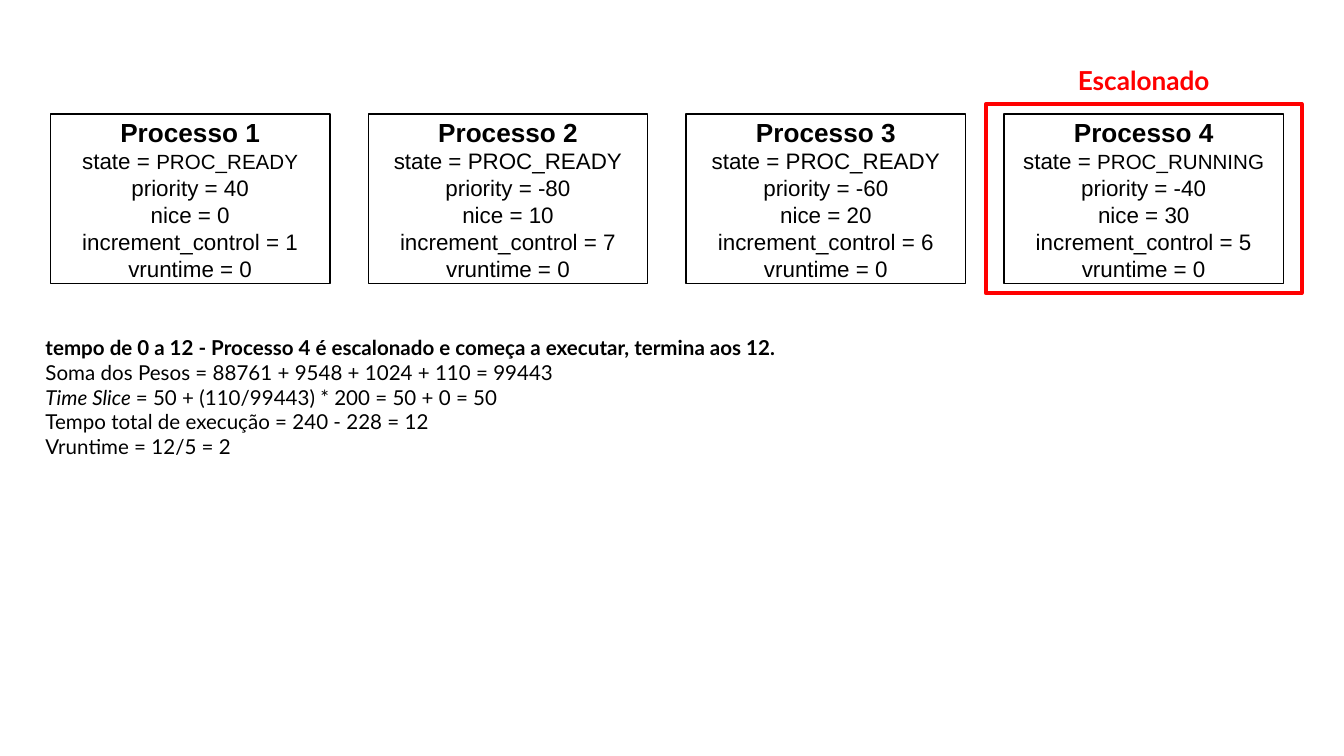
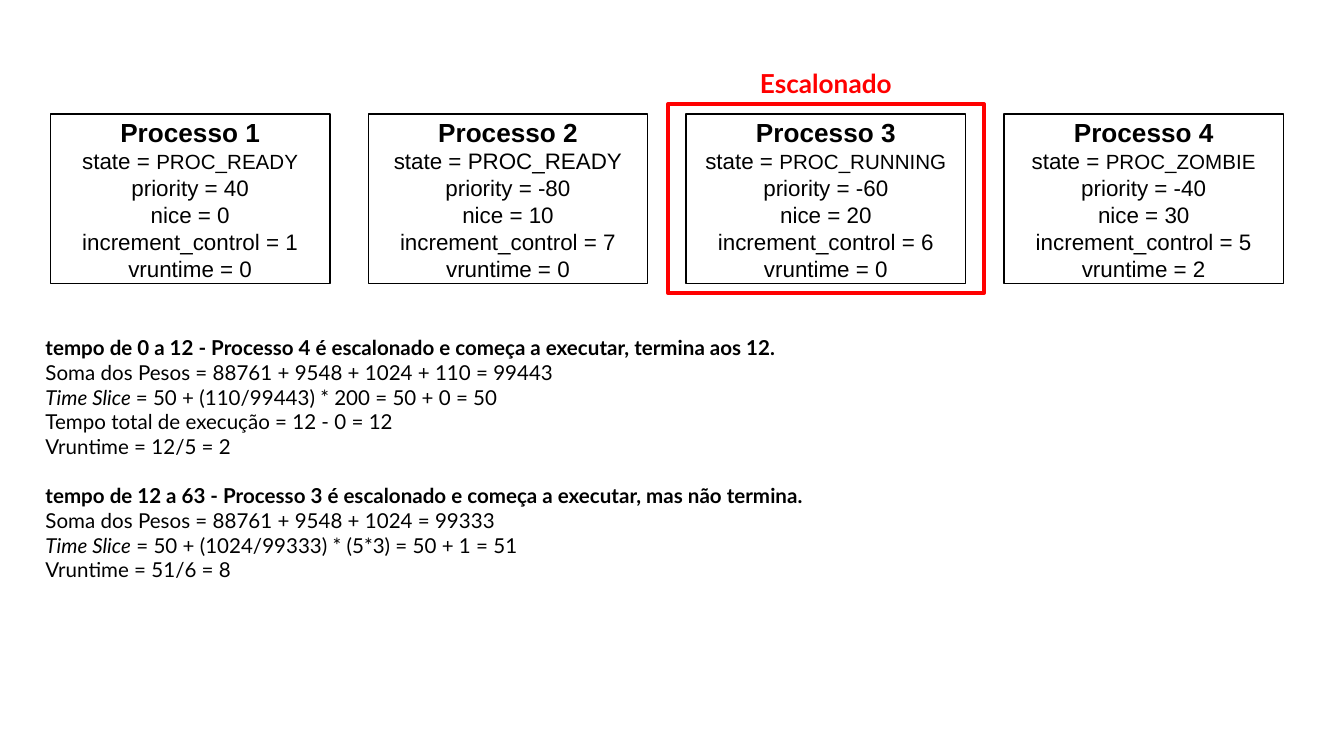
from pptx import Presentation
from pptx.dml.color import RGBColor
from pptx.enum.shapes import MSO_SHAPE
from pptx.enum.text import MSO_ANCHOR, PP_ALIGN
from pptx.util import Pt

RECT = MSO_SHAPE.RECTANGLE
TOP, MIDDLE = MSO_ANCHOR.TOP, MSO_ANCHOR.MIDDLE
LEFT, CENTER = PP_ALIGN.LEFT, PP_ALIGN.CENTER

BLACK = RGBColor(0x00, 0x00, 0x00)
WHITE = RGBColor(0xFF, 0xFF, 0xFF)
RED = RGBColor(0xFF, 0x00, 0x00)
SANS, LATO = "Arial", "Lato"
SCALE = 4572  # EMU in one px, 200 px to the inch

# Content: fixed values of each process
TASKS = [
    ("Processo 1", 40, 0, 1),
    ("Processo 2", -80, 10, 7),
    ("Processo 3", -60, 20, 6),
    ("Processo 4", -40, 30, 5),
]

# Content: state with its text size and vruntime per process, notes in blocks;
# a line is (italic part, plain part) and the first one of a block is bold
HEAD = ("", "tempo de 0 a 12 - Processo 4 é escalonado e começa a executar, termina aos 12.")
SUM = ("", "Soma dos Pesos = 88761 + 9548 + 1024 + 110 = 99443")
SLICE = ("Time Slice ", "= 50 + (110/99443) * 200 = 50 + 0 = 50")
VRUN = ("", "Vruntime = 12/5 = 2")

SLIDES = [
    {
        "states": [("PROC_READY", 11, 0), ("PROC_READY", 12, 0),
                   ("PROC_READY", 12, 0), ("PROC_RUNNING", 11, 0)],
        "active": 3,
        "label": 76,
        "notes": [
            [HEAD, SUM, SLICE, ("", "Tempo total de execução = 240 - 228 = 12"), VRUN],
        ],
    },
    {
        "states": [("PROC_READY", 11, 0), ("PROC_READY", 12, 0),
                   ("PROC_RUNNING", 11, 0), ("PROC_ZOMBIE", 11, 2)],
        "active": 2,
        "label": 80,
        "notes": [
            [HEAD, SUM, SLICE, ("", "Tempo total de execução = 12 - 0 = 12"), VRUN],
            [
                ("", "tempo de 12 a 63 - Processo 3 é escalonado e começa a executar, mas não termina."),
                ("", "Soma dos Pesos = 88761 + 9548 + 1024 = 99333"),
                ("Time Slice", " = 50 + (1024/99333) * (5*3) = 50 + 1 = 51"),
                ("", "Vruntime = 51/6 = 8"),
            ],
        ],
    },
]

# Layout
WIDE, HIGH = 2000, 1125
CARD_X, CARD_Y, CARD_W, CARD_H = 75, 170, 416, 252
PITCH = 473
INSET = 20


def emu(*sizes):
    return [size * SCALE for size in sizes]


def add_run(para, text, size, font, color=BLACK, bold=False, italic=False):
    run = para.add_run()
    run.text = text
    run.font.name, run.font.size = font, Pt(size)
    run.font.bold, run.font.italic = bold, italic
    run.font.color.rgb = color


def set_frame(shape, anchor):
    frame = shape.text_frame
    frame.word_wrap = True
    frame.vertical_anchor = anchor
    frame.margin_left = frame.margin_right = INSET * SCALE
    frame.margin_top = frame.margin_bottom = INSET * SCALE
    return frame


def add_para(frame, first, align):
    para = frame.paragraphs[0] if first else frame.add_paragraph()
    para.alignment = align
    return para


def add_box(slide, x, y, w, h, color, width, fill=None):
    box = slide.shapes.add_shape(RECT, *emu(x, y, w, h))
    box.shadow.inherit = False
    if fill is None:
        box.fill.background()
    else:
        box.fill.solid()
        box.fill.fore_color.rgb = fill
    box.line.color.rgb = color
    box.line.width = Pt(width)
    return box


def add_card(slide, x, task, state):
    name, prio, nice, step = task
    word, size, vrun = state
    box = add_box(slide, x, CARD_Y, CARD_W, CARD_H, BLACK, 0.75, WHITE)
    frame = set_frame(box, MIDDLE)
    add_run(add_para(frame, True, CENTER), name, 14, SANS, bold=True)
    para = add_para(frame, False, CENTER)
    add_run(para, "state = ", 12, SANS)
    add_run(para, word, size, SANS)
    for text in (f"priority = {prio}", f"nice = {nice}",
                 f"increment_control = {step}", f"vruntime = {vrun}"):
        add_run(add_para(frame, False, CENTER), text, 12, SANS)


def add_mark(slide, x, top):
    add_box(slide, x - 27, CARD_Y - 15, 470, 281, RED, 2.25)
    label = slide.shapes.add_textbox(*emu(x + 56, top, 304, 58))
    para = add_para(set_frame(label, TOP), True, CENTER)
    add_run(para, "Escalonado", 14, LATO, RED, bold=True)


def add_notes(slide, blocks):
    box = slide.shapes.add_textbox(*emu(48, 479, 1820, 606))
    frame = set_frame(box, TOP)
    for b, block in enumerate(blocks):
        for n, (slant, plain) in enumerate(block):
            para = add_para(frame, b == n == 0, LEFT)
            if b and n == 0:
                para.space_before = Pt(13.2)
            if slant:
                add_run(para, slant, 11, LATO, italic=True)
            add_run(para, plain, 11, LATO, bold=n == 0)


def main():
    deck = Presentation()
    deck.slide_width, deck.slide_height = emu(WIDE, HIGH)
    blank = deck.slide_layouts[6]
    for data in SLIDES:
        slide = deck.slides.add_slide(blank)
        add_notes(slide, data["notes"])
        for i, (task, state) in enumerate(zip(TASKS, data["states"])):
            add_card(slide, CARD_X + i * PITCH, task, state)
        add_mark(slide, CARD_X + data["active"] * PITCH, data["label"])
    deck.save("out.pptx")


if __name__ == "__main__":
    main()
